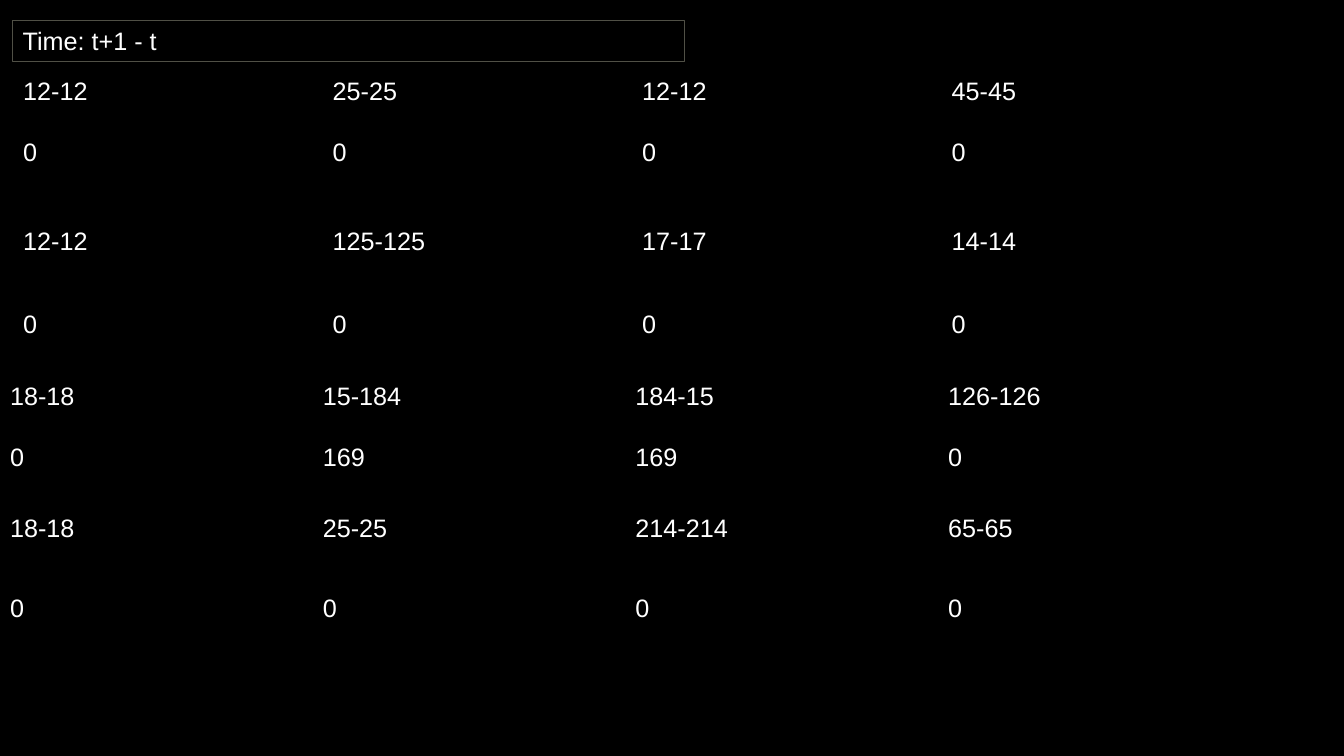
from pptx import Presentation
from pptx.dml.color import RGBColor
from pptx.enum.text import MSO_ANCHOR, MSO_AUTO_SIZE
from pptx.oxml.ns import qn
from pptx.util import Cm, Pt

MIDDLE = MSO_ANCHOR.MIDDLE
GROW = MSO_AUTO_SIZE.SHAPE_TO_FIT_TEXT
NO_STYLE_NO_GRID = "{2D5ABB26-0587-4C30-8999-92F81FD0307C}"

# Content
HEADING = "Time: t+1 - t"
INDENTED = (0.33, 7.8)  # left edge and column width, cm
FLUSH = (0, 7.88)
# Each table: (left, column width), top, row height, differences, results
TABLES = [
    (INDENTED, 1.55, 1.53, ["12-12", "25-25", "12-12", "45-45"], ["0", "0", "0", "0"]),
    (INDENTED, 5.03, 2.11, ["12-12", "125-125", "17-17", "14-14"], ["0", "0", "0", "0"]),
    (FLUSH, 9.24, 1.53, ["18-18", "15-184", "184-15", "126-126"], ["0", "169", "169", "0"]),
    (FLUSH, 12.3, 2.03, ["18-18", "25-25", "214-214", "65-65"], ["0", "0", "0", "0"]),
]


def color(hex_value):
    return RGBColor.from_string(hex_value)


def write(text_frame, text):
    text_frame.text = text
    font = text_frame.paragraphs[0].runs[0].font
    font.name = "Arial"
    font.size = Pt(18)
    font.color.rgb = color("FFFFFF")


def add_difference_table(slide, columns, top, row_height, *rows):
    left, column_width = columns
    count = len(rows[0])
    frame = slide.shapes.add_table(
        len(rows), count, Cm(left), Cm(top),
        Cm(column_width * count), Cm(row_height * len(rows)))
    table = frame.table
    table.first_row = False
    table.horz_banding = False
    for style_id in frame.element.iter(qn("a:tableStyleId")):
        style_id.text = NO_STYLE_NO_GRID
    for row_index, row in enumerate(rows):
        for column_index, text in enumerate(row):
            cell = table.cell(row_index, column_index)
            cell.fill.background()
            cell.vertical_anchor = MIDDLE
            write(cell.text_frame, text)


def main():
    presentation = Presentation()
    presentation.slide_width = Cm(33.87)
    presentation.slide_height = Cm(19.05)
    slide = presentation.slides.add_slide(presentation.slide_layouts[6])
    slide.background.fill.solid()
    slide.background.fill.fore_color.rgb = color("000000")

    # Heading box
    heading = slide.shapes.add_textbox(Cm(0.32), Cm(0.52), Cm(16.93), Cm(1.03))
    heading.line.color.rgb = color("505046")
    heading.line.width = Pt(0.75)
    heading.text_frame.word_wrap = True
    heading.text_frame.auto_size = GROW
    write(heading.text_frame, HEADING)

    # Difference tables
    for table in TABLES:
        add_difference_table(slide, *table)

    presentation.save("out.pptx")


if __name__ == "__main__":
    main()
